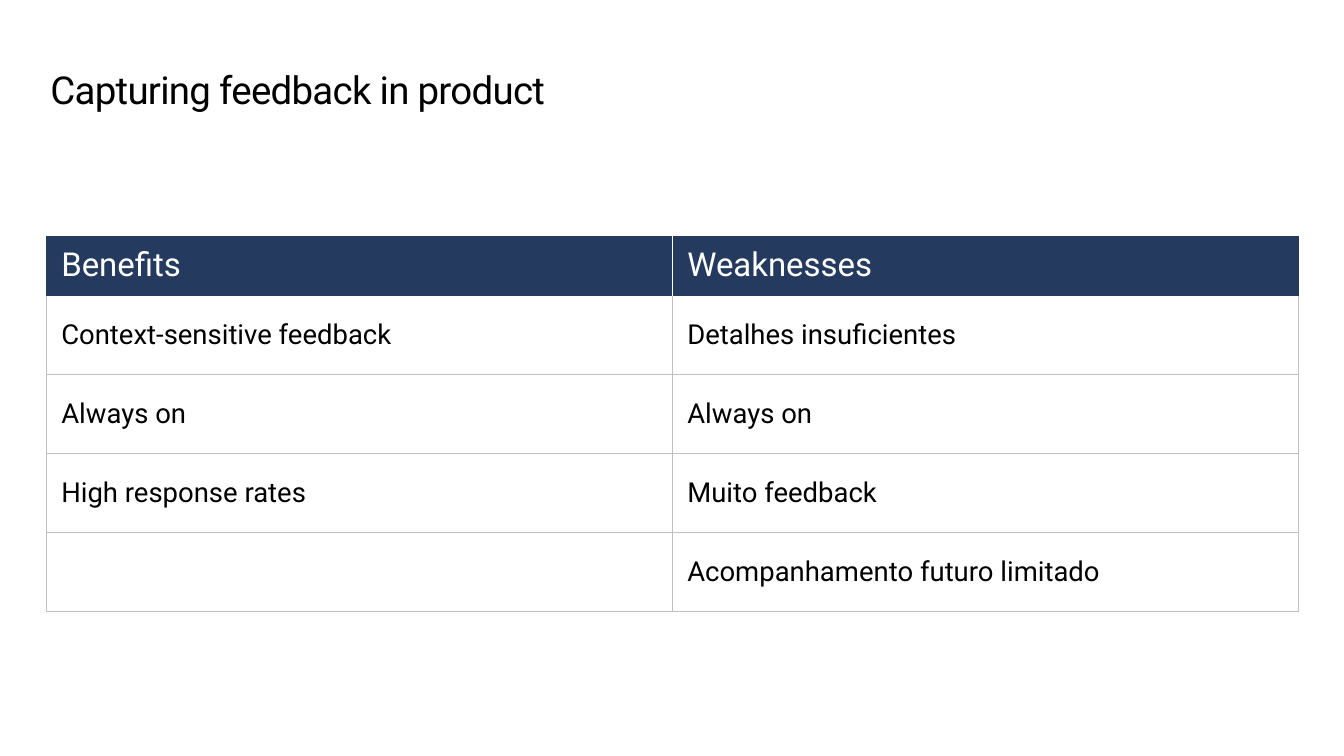
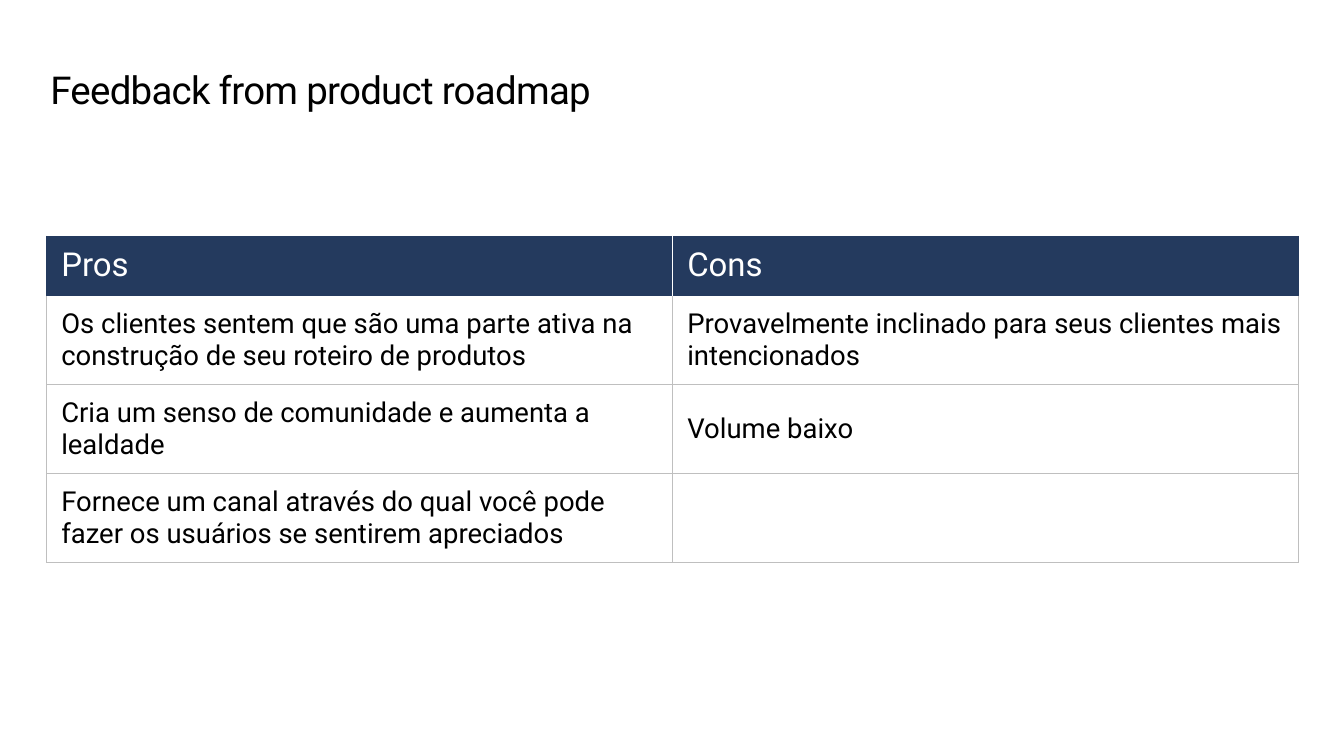
from lxml import etree
from pptx import Presentation
from pptx.dml.color import RGBColor
from pptx.enum import text
from pptx.oxml import ns
from pptx.util import Inches, Pt

COLORS = {"navy": "243A5E", "grid": "BFBFBF", "white": "FFFFFF", "black": "000000"}
FONT = "Roboto"
TITLE_BOX = (0.51, 0.69, 12.61, 0.45)
TABLE_LEFT, TABLE_TOP, TABLE_WIDTH = 0.47, 2.39, 12.67
HEADER_HEIGHT = 0.59
PLAIN_TABLE_STYLE = "{2D5ABB26-0587-4C30-8999-92F81FD0307C}"

COMPARISONS = [
    ("Capturing feedback in product", 0.8, [
        ("Benefits", "Weaknesses"),
        ("Context-sensitive feedback", "Detalhes insuficientes"),
        ("Always on", "Always on"),
        ("High response rates", "Muito feedback"),
        ("", "Acompanhamento futuro limitado"),
    ]),
    ("Feedback from product roadmap", 0.9, [
        ("Pros", "Cons"),
        ("Os clientes sentem que são uma parte ativa na construção de seu roteiro de produtos",
         "Provavelmente inclinado para seus clientes mais intencionados"),
        ("Cria um senso de comunidade e aumenta a lealdade", "Volume baixo"),
        ("Fornece um canal através do qual você pode fazer os usuários se sentirem apreciados", ""),
    ]),
]


def rgb(name):
    return RGBColor.from_string(COLORS[name])


def style_runs(paragraph, size, color):
    for run in paragraph.runs:
        run.font.name = FONT
        run.font.size = Pt(size)
        run.font.color.rgb = rgb(color)


def set_borders(cell, **sides):
    """Draw half-point borders; sides maps L, R, T, B (in that order) to colour names."""
    properties = cell._tc.get_or_add_tcPr()
    for side, color in sides.items():
        line = etree.SubElement(properties, ns.qn(f"a:ln{side}"), w=str(Pt(0.5)))
        fill = etree.SubElement(line, ns.qn("a:solidFill"))
        etree.SubElement(fill, ns.qn("a:srgbClr"), val=COLORS[color])


def fill_title(slide, wording, box):
    title = slide.shapes.title
    title.left, title.top, title.width, title.height = map(Inches, box)
    frame = title.text_frame
    frame.text = wording
    frame.margin_left = frame.margin_right = frame.margin_top = frame.margin_bottom = 0
    frame.vertical_anchor = text.MSO_ANCHOR.TOP
    frame.auto_size = text.MSO_AUTO_SIZE.SHAPE_TO_FIT_TEXT
    heading = frame.paragraphs[0]
    heading.alignment = text.PP_ALIGN.LEFT
    heading.line_spacing = Pt(32)
    style_runs(heading, 28, "black")
    for run in heading.runs:
        run.font._element.set("spc", "-50")


def format_header(cell, is_first, is_last):
    set_borders(cell, L="navy" if is_first else "white",
                R="navy" if is_last else "white", T="navy")
    cell.fill.solid()
    cell.fill.fore_color.rgb = rgb("navy")
    style_runs(cell.text_frame.paragraphs[0], 24, "white")


def format_entry(cell):
    set_borders(cell, L="grid", R="grid", B="grid")
    cell.fill.background()
    cell.vertical_anchor = text.MSO_ANCHOR.MIDDLE
    style_runs(cell.text_frame.paragraphs[0], 20, "black")


def add_comparison_table(slide, left, top, width, row_height, rows):
    column_count = len(rows[0])
    height = HEADER_HEIGHT + row_height * (len(rows) - 1)
    frame = slide.shapes.add_table(len(rows), column_count,
                                   *map(Inches, (left, top, width, height)))
    table = frame.table
    table.horz_banding = False
    table._tbl.tblPr.find(ns.qn("a:tableStyleId")).text = PLAIN_TABLE_STYLE
    for r, entries in enumerate(rows):
        table.rows[r].height = Inches(row_height if r else HEADER_HEIGHT)
        for c, entry in enumerate(entries):
            cell = table.cell(r, c)
            cell.text_frame.text = entry
            cell.margin_left = cell.margin_right = Inches(0.15)
            cell.margin_top = cell.margin_bottom = Inches(0.1)
            if r == 0:
                format_header(cell, c == 0, c == column_count - 1)
            else:
                format_entry(cell)


def add_comparison_slide(deck, title, row_height, rows):
    slide = deck.slides.add_slide(deck.slide_layouts.get_by_name("Title Only"))
    fill_title(slide, title, TITLE_BOX)
    add_comparison_table(slide, TABLE_LEFT, TABLE_TOP, TABLE_WIDTH, row_height, rows)


def main():
    deck = Presentation()
    deck.slide_width, deck.slide_height = Inches(13.6), Inches(7.65)
    for comparison in COMPARISONS:
        add_comparison_slide(deck, *comparison)
    deck.save("out.pptx")


if __name__ == "__main__":
    main()
